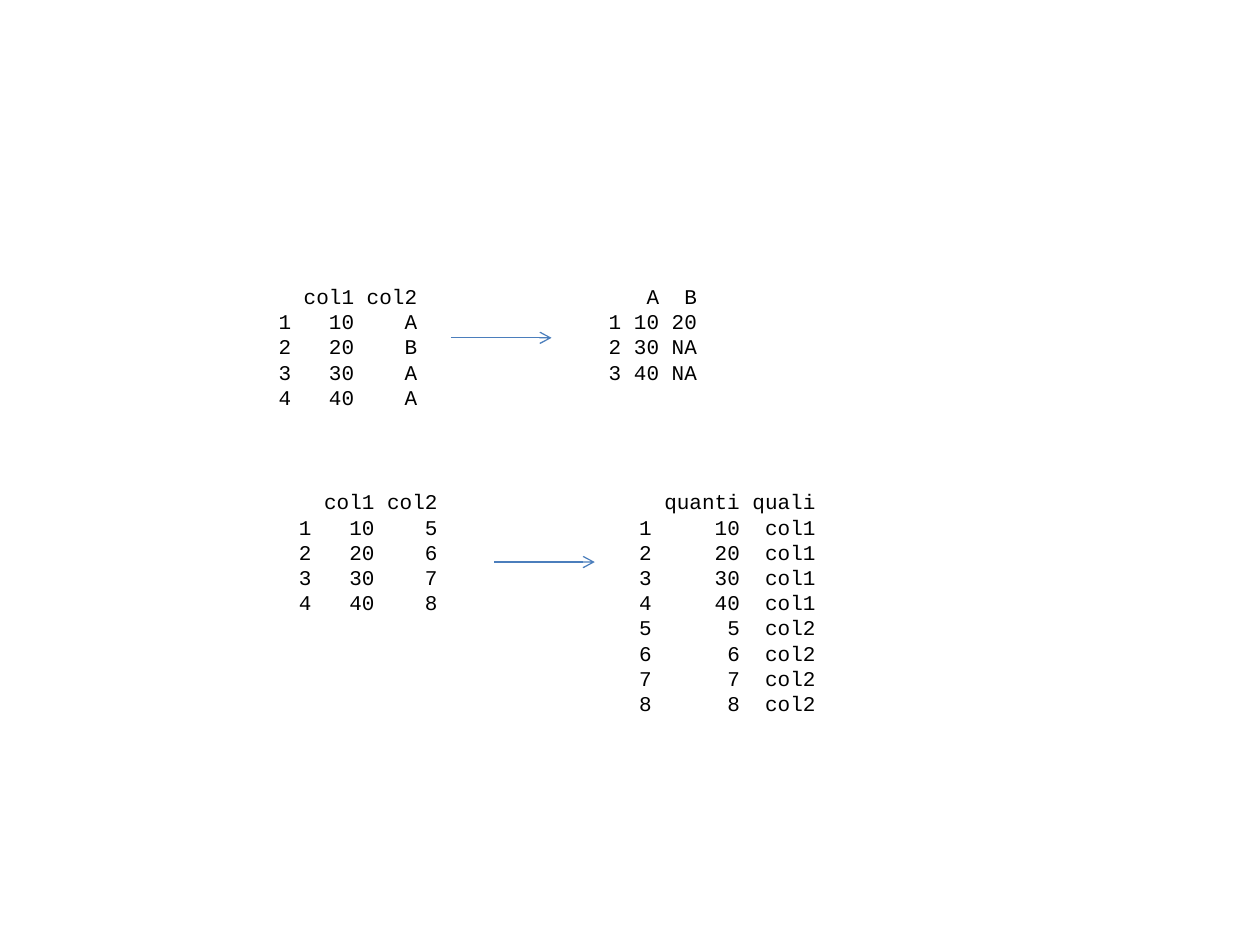
from lxml import etree
from pptx import Presentation
from pptx.dml.color import RGBColor
from pptx.enum.shapes import MSO_CONNECTOR
from pptx.enum.text import MSO_AUTO_SIZE, PP_ALIGN
from pptx.oxml.ns import qn
from pptx.util import Cm, Pt

STRAIGHT = MSO_CONNECTOR.STRAIGHT
LEFT = PP_ALIGN.LEFT
GROW = MSO_AUTO_SIZE.SHAPE_TO_FIT_TEXT

COLORS = {"text": "000000", "arrow": "4B7EBC"}
FONT = "Courier New"
FONT_SIZE = 12
CHAR_WIDTH = Pt(FONT_SIZE * 0.6)  # every Courier character is 0.6 em wide
ROW_HEIGHT = 0.51
PADDING = 0.25
BEFORE_WIDTH, AFTER_WIDTH = 3.35, 4.19
ARROW_LENGTH = 2.03

WIDE_PAIR = {
    "top": 5.59, "before_left": 5.31, "after_left": 10.11,
    "arrow_left": 9.09, "arrow_drop": 1.22,
    "before": [("col1", "col2"), (10, "A"), (20, "B"), (30, "A"), (40, "A")],
    "after": [("A", "B"), (10, 20), (30, "NA"), (40, "NA")],
}
LONG_PAIR = {
    "top": 9.73, "before_left": 5.72, "after_left": 12.5,
    "arrow_left": 9.96, "arrow_drop": 1.6,
    "before": [("col1", "col2"), (10, 5), (20, 6), (30, 7), (40, 8)],
    "after": [("quanti", "quali")]
    + [(value, "col1") for value in (10, 20, 30, 40)]
    + [(value, "col2") for value in (5, 6, 7, 8)],
}


def column_ends(rows):
    """Right edge of each column in characters, after the row number."""
    ends, end = [], 1
    for column in zip(*rows):
        end += 1 + max(len(str(value)) for value in column)
        ends.append(end)
    return ends


def add_tab_stops(para, ends):
    properties = para._p.get_or_add_pPr()
    tabs = etree.SubElement(properties, qn("a:tabLst"))
    for end in ends:
        etree.SubElement(tabs, qn("a:tab"), pos=str(end * CHAR_WIDTH), algn="r")


def add_data_frame(page, left, top, width, rows):
    """Console-style listing, set against the right side of its box."""
    box = page.shapes.add_textbox(Cm(left), Cm(top), Cm(width),
                                  Cm(len(rows) * ROW_HEIGHT + PADDING))
    ends = column_ends(rows)
    frame = box.text_frame
    frame.word_wrap = True
    frame.auto_size = GROW
    frame.margin_left = Cm(width - PADDING) - ends[-1] * CHAR_WIDTH
    frame.text = "\n".join(
        "\t".join([str(number) if number else "", *map(str, row)])
        for number, row in enumerate(rows))
    for para in frame.paragraphs:
        para.alignment = LEFT
        add_tab_stops(para, ends)
        for span in para.runs:
            span.font.name = FONT
            span.font.size = Pt(FONT_SIZE)
            span.font.color.rgb = RGBColor.from_string(COLORS["text"])


def add_arrow(page, left, top):
    arrow = page.shapes.add_connector(STRAIGHT, Cm(left), Cm(top),
                                      Cm(left + ARROW_LENGTH), Cm(top))
    arrow.line.color.rgb = RGBColor.from_string(COLORS["arrow"])
    arrow.line.width = Pt(0.75)
    etree.SubElement(arrow.line._get_or_add_ln(), qn("a:tailEnd"), type="arrow")
    etree.SubElement(arrow._element.spPr, qn("a:effectLst"))


def add_reshape(page, pair):
    """A data frame before and after reshaping, with an arrow between."""
    top = pair["top"]
    add_data_frame(page, pair["before_left"], top, BEFORE_WIDTH, pair["before"])
    add_data_frame(page, pair["after_left"], top, AFTER_WIDTH, pair["after"])
    add_arrow(page, pair["arrow_left"], top + pair["arrow_drop"])


def main():
    deck = Presentation()
    deck.slide_width, deck.slide_height = Cm(25.4), Cm(19.05)
    page = deck.slides.add_slide(deck.slide_layouts[6])
    for pair in (WIDE_PAIR, LONG_PAIR):
        add_reshape(page, pair)
    deck.save("out.pptx")


if __name__ == "__main__":
    main()
